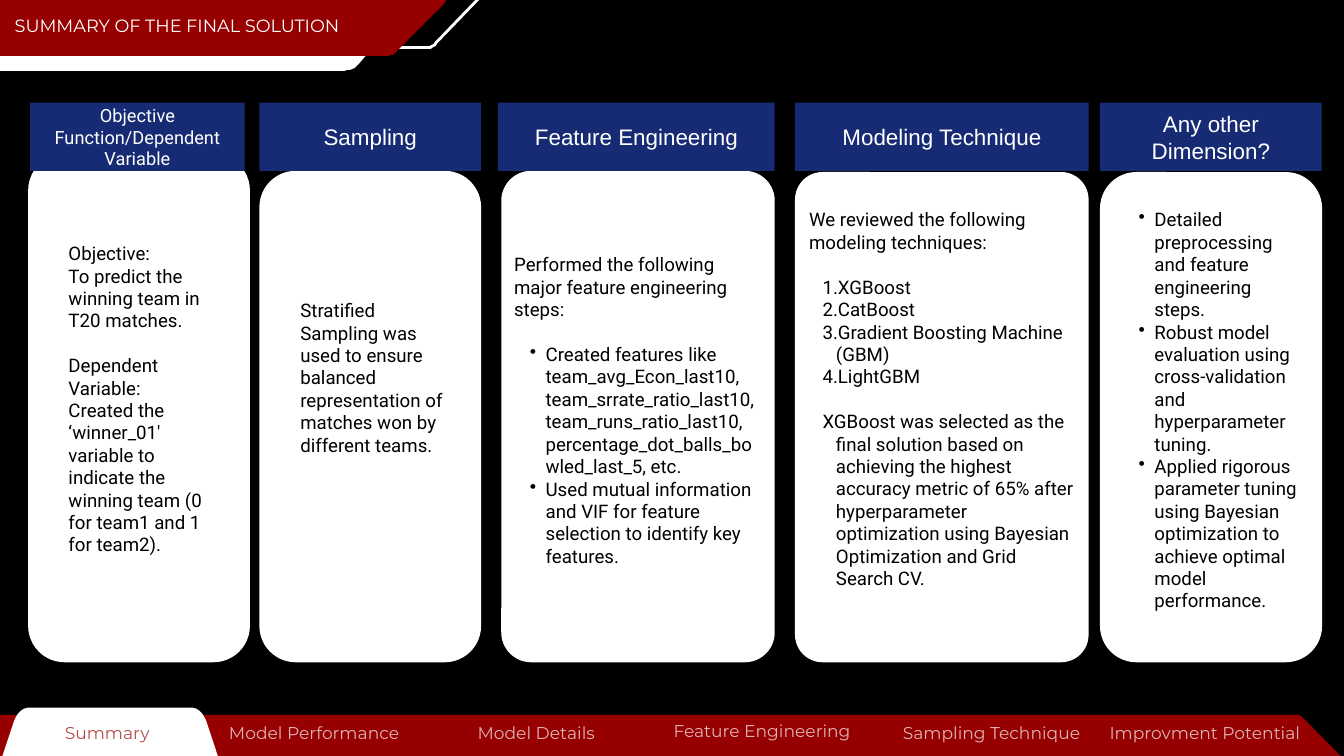
from dataclasses import dataclass

from lxml import etree
from pptx import Presentation
from pptx import util as u
from pptx.dml.color import RGBColor
from pptx.enum import shapes, text
from pptx.oxml.ns import qn

Pt = u.Pt
COLOURS = {"black": "000000", "white": "FFFFFF", "navy": "162B73", "red": "960000"}
HEADER_TOP, HEADER_HEIGHT = 110, 73
CARD_BOTTOM = 709.6


@dataclass
class Line:
    words: str
    kind: str = "plain"  # plain, bullet, number or hanging
    gap: float = 0


@dataclass
class Style:
    font: str
    size: float
    spacing: float
    colour: str = "white"
    align: int = text.PP_ALIGN.LEFT
    opacity: int = 100


@dataclass
class Column:
    heading: str
    header: tuple[float, float]  # left, width
    card: tuple[float, float, float]  # left, top, width
    radius: float
    body: tuple[float, float, float, float]
    lines: list[Line]
    style: Style


@dataclass
class Ribbon:
    """A bar ending in a point on the right, with rounded corners."""
    left: float
    top: float
    shoulder: float
    tip: float
    bottom: float
    cut: float
    fill: str | None
    line: str | None = None

    def corners(self) -> list[tuple[float, float]]:
        return [(self.left, self.top), (self.shoulder, self.top),
                (self.tip, (self.top + self.bottom) / 2),
                (self.shoulder, self.bottom), (self.left, self.bottom)]


@dataclass
class Tab:
    label: str
    left: float
    width: float
    top: float = 770.4
    colour: str = "white"


CENTER = text.PP_ALIGN.CENTER
HEADING = Style("Arial", 24, 28.8, align=CENTER)
SMALL_HEADING = Style("Roboto", 19.5, 23.4, align=CENTER)
BODY = Style("Roboto", 20, 24, "black")
TITLE = Style("Montserrat", 19, 26.7)
# left margin, first-line indent, bullet tag, bullet attributes
INDENTS = {
    "bullet": (33.8, -16.9, "a:buChar", {"char": "•"}),
    "number": (28.8, -14.4, "a:buAutoNum", {"type": "arabicPeriod"}),
    "hanging": (28.8, -14.4, "a:buNone", {}),
}

COLUMNS = [
    Column("Objective Function/Dependent Variable", (32.4, 229.7), (30.2, 165, 237.6), 39,
           (73.4, 259.2, 147.6, 337), [
               Line("Objective:"),
               Line("To predict the winning team in T20 matches."),
               Line("Dependent Variable:", gap=24),
               Line("Created the ‘winner_01' variable to indicate the winning team "
                    "(0 for team1 and 1 for team2)."),
           ], SMALL_HEADING),
    Column("Sampling", (277.9, 237.6), (277.9, 183, 237.6), 39, (321.8, 320.4, 160.6, 168.5), [
        Line("Stratified Sampling was used to ensure balanced representation of "
             "matches won by different teams."),
    ], HEADING),
    Column("Feature Engineering", (533.5, 296.6), (537.1, 183, 293), 32,
           (550.8, 271.4, 265.7, 312.5), [
               Line("Performed the following major feature engineering steps:"),
               Line("Created features like team_avg_Econ_last10, team_srrate_ratio_last10, "
                    "team_runs_ratio_last10, percentage_dot_balls_bowled_last_5, etc.",
                    "bullet", 24),
               Line("Used mutual information and VIF for feature selection to identify "
                    "key features.", "bullet"),
           ], HEADING),
    Column("Modeling Technique", (851.8, 314.6), (851.8, 184.3, 314.6), 29.5,
           (866.9, 223.2, 285.1, 409), [
               Line("We reviewed the following modeling techniques:"),
               Line("XGBoost", "number", 24),
               Line("CatBoost", "number"),
               Line("Gradient Boosting Machine (GBM)", "number"),
               Line("LightGBM", "number"),
               Line("XGBoost was selected as the final solution based on achieving the "
                    "highest accuracy metric of 65% after hyperparameter optimization using "
                    "Bayesian Optimization and Grid Search CV.", "hanging", 24),
           ], HEADING),
    Column("Any other Dimension?", (1178.6, 237.6), (1178.6, 184.3, 238), 39,
           (1203.1, 223.2, 188.6, 432.7), [
               Line("Detailed preprocessing and feature engineering steps.", "bullet"),
               Line("Robust model evaluation using cross-validation and hyperparameter "
                    "tuning.", "bullet"),
               Line("Applied rigorous parameter tuning using Bayesian optimization to "
                    "achieve optimal model performance.", "bullet"),
           ], HEADING),
]
RIBBONS = [
    Ribbon(-86.4, -80.6, 463, 525, 51.1, 6.5, None, "white"),
    Ribbon(-13.7, -62.6, 378, 437.8, 75.6, 8.6, "white"),
    Ribbon(-13.7, -62.6, 420.5, 481, 59.8, 7, "red"),
    Ribbon(-36.7, 766.1, 1393.2, 1463.8, 909.4, 3, "red"),
]
ACTIVE_TAB = [(20.2, 758.9), (215.3, 758.9), (300.2, 1013.8), (-64.8, 1013.8)]
TABS = [
    Tab("Summary", 55.5, 118.8, colour="red"),
    Tab("Model Performance", 242.6, 187.9),
    Tab("Model Details", 493.2, 162.7),
    Tab("Feature Engineering", 718.6, 195.8, top=768.2),
    Tab("Sampling Technique", 967, 190.8),
    Tab("Improvment Potential", 1188.7, 204.5),
]


def rgb(name: str) -> RGBColor:
    return RGBColor.from_string(COLOURS[name])


def paint(shape, fill: str | None, line: str | None = None, width: float = 3) -> None:
    shape.shadow.inherit = False
    if fill:
        shape.fill.solid()
        shape.fill.fore_color.rgb = rgb(fill)
    else:
        shape.fill.background()
    if line:
        shape.line.color.rgb = rgb(line)
        shape.line.width = Pt(width)
    else:
        shape.line.fill.background()


def write(frame, lines: list[Line], style: Style, inset: float = 0) -> None:
    frame.word_wrap = True
    frame.margin_left = frame.margin_right = Pt(inset)
    frame.margin_top = frame.margin_bottom = Pt(inset)
    for index, line in enumerate(lines):
        para = frame.add_paragraph() if index else frame.paragraphs[0]
        para.alignment = style.align
        para.line_spacing = Pt(style.spacing)
        para.space_before = Pt(line.gap)
        if line.kind in INDENTS:
            margin, indent, tag, attributes = INDENTS[line.kind]
            para.level = 1
            properties = para._p.get_or_add_pPr()
            properties.set("marL", str(Pt(margin)))
            properties.set("indent", str(Pt(indent)))
            etree.SubElement(properties, qn(tag), attributes)
        span = para.add_run()
        span.text = line.words
        span.font.name = style.font
        span.font.size = Pt(style.size)
        span.font.color.rgb = rgb(style.colour)
        if style.opacity < 100:
            colour = span._r.rPr.find(".//" + qn("a:srgbClr"))
            etree.SubElement(colour, qn("a:alpha"), val=str(style.opacity * 1000))


def add_text(page, place: tuple[float, ...], lines: list[Line], style: Style) -> None:
    box = page.shapes.add_textbox(*map(Pt, place))
    write(box.text_frame, lines, style)


def add_rounded_outline(page, corners: list[tuple[float, float]], cut: float):
    """Draw a closed outline, turning each corner into a short curve."""
    points = []
    for index, (x, y) in enumerate(corners):
        ends = []
        for near_x, near_y in (corners[index - 1], corners[(index + 1) % len(corners)]):
            share = cut / ((near_x - x) ** 2 + (near_y - y) ** 2) ** 0.5
            ends.append((x + (near_x - x) * share, y + (near_y - y) * share))
        for t in (step / 6 for step in range(7)):
            points.append(tuple((1 - t) ** 2 * start + 2 * t * (1 - t) * middle + t * t * end
                                for start, middle, end in zip(ends[0], (x, y), ends[1])))
    builder = page.shapes.build_freeform(*points[0], scale=float(Pt(1)))
    builder.add_line_segments(points[1:], close=True)
    return builder.convert_to_shape()


def add_column(page, column: Column) -> None:
    left, top, width = column.card
    height = CARD_BOTTOM - top
    card = page.shapes.add_shape(shapes.MSO_SHAPE.ROUNDED_RECTANGLE,
                                 *map(Pt, (left, top, width, height)))
    card.adjustments[0] = column.radius / min(width, height)
    paint(card, "white")
    left, width = column.header
    header = page.shapes.add_shape(shapes.MSO_SHAPE.RECTANGLE,
                                   *map(Pt, (left, HEADER_TOP, width, HEADER_HEIGHT)))
    paint(header, "navy")
    header.text_frame.vertical_anchor = text.MSO_ANCHOR.MIDDLE
    write(header.text_frame, [Line(column.heading)], column.style, inset=4.3)
    add_text(page, column.body, column.lines, BODY)


def add_title(page, words: str) -> None:
    title = page.shapes.title
    title.left, title.top, title.width, title.height = map(Pt, (15.8, 11.5, 358.6, 25.2))
    title.text_frame.auto_size = text.MSO_AUTO_SIZE.NONE
    title.text_frame.vertical_anchor = text.MSO_ANCHOR.TOP
    write(title.text_frame, [Line(words)], TITLE)
    title.element.getparent().append(title.element)  # in front of the ribbons


def main() -> None:
    deck = Presentation()
    deck.slide_width, deck.slide_height = Pt(1440), Pt(810)
    page = deck.slides.add_slide(deck.slide_layouts.get_by_name("Title Only"))
    page.background.fill.solid()
    page.background.fill.fore_color.rgb = rgb("black")
    for column in COLUMNS:
        add_column(page, column)
    for ribbon in RIBBONS:
        outline = add_rounded_outline(page, ribbon.corners(), ribbon.cut)
        paint(outline, ribbon.fill, ribbon.line)
    paint(add_rounded_outline(page, ACTIVE_TAB, 13.7), "white", "white", 1.5)
    for tab in TABS:
        style = Style("Montserrat", 18.3, 25.6, tab.colour, CENTER, opacity=70)
        add_text(page, (tab.left, tab.top, tab.width, 24.5), [Line(tab.label)], style)
    add_title(page, "SUMMARY OF THE FINAL SOLUTION")
    deck.save("out.pptx")


if __name__ == "__main__":
    main()
